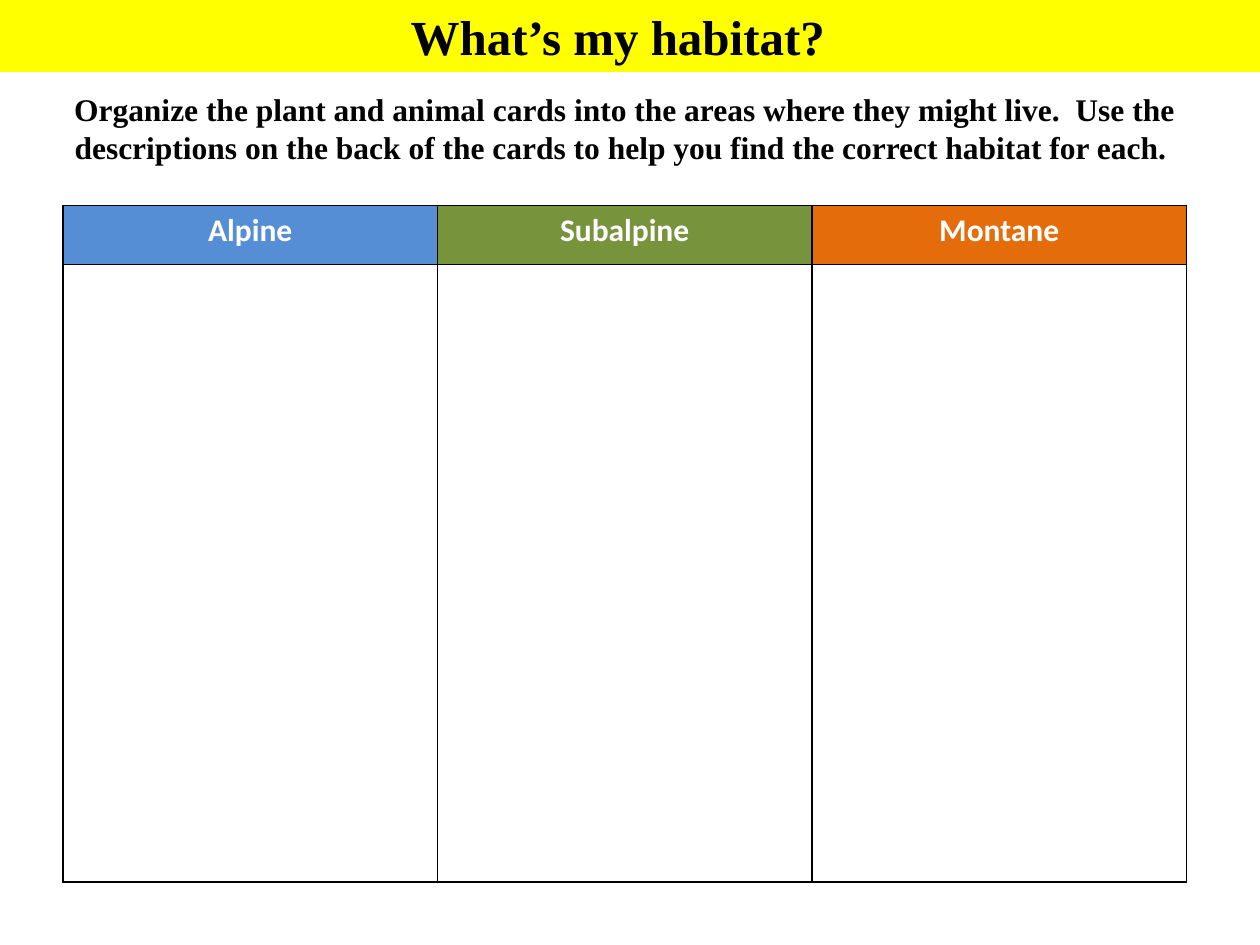
"""Build a habitat sorting slide with a three-column table."""
from dataclasses import dataclass

from lxml.etree import SubElement as Sub
from pptx import Presentation
from pptx.dml.color import RGBColor
from pptx.enum.text import MSO_ANCHOR as Anchor, MSO_AUTO_SIZE as Fit, PP_ALIGN as Align
from pptx.oxml.ns import qn
from pptx.util import Cm, Pt

BLACK = RGBColor(0, 0, 0)
WHITE = RGBColor(255, 255, 255)
YELLOW = RGBColor(255, 255, 0)
BLUE = RGBColor(0x55, 0x8E, 0xD5)
GREEN = RGBColor(0x77, 0x93, 0x3C)
ORANGE = RGBColor(0xE4, 0x6C, 0x0A)
SERIF = "Times New Roman"


@dataclass
class Zone:
    name: str
    fill: RGBColor


ZONES = [Zone("Alpine", BLUE), Zone("Subalpine", GREEN), Zone("Montane", ORANGE)]
ROWS = [1.19, 12.45]
TASK = (
    "Organize the plant and animal cards into the areas where they might live.  "
    "Use the descriptions on the back of the cards to help you find the correct "
    "habitat for each. "
)


def put(frame, text: str, face: str, size: int, color: RGBColor) -> None:
    frame.text = text
    para = frame.paragraphs[0]
    para.alignment = Align.CENTER
    style = {"name": face, "size": Pt(size), "bold": True}
    for key, value in style.items():
        setattr(para.runs[0].font, key, value)
    para.runs[0].font.color.rgb = color


def place(shape, left: float, top: float, width: float, height: float) -> None:
    spot = {"left": left, "top": top, "width": width, "height": height}
    for key, value in spot.items():
        setattr(shape, key, Cm(value))


def edge(cell) -> None:
    props = cell._tc.get_or_add_tcPr()
    for side in ("lnL", "lnR", "lnT", "lnB"):
        line = Sub(props, qn(f"a:{side}"), w=str(Pt(1)))
        fill = Sub(line, qn("a:solidFill"))
        Sub(fill, qn("a:srgbClr"), val=str(BLACK))


def paint(cell, color: RGBColor) -> None:
    edge(cell)
    cell.fill.solid()
    cell.fill.fore_color.rgb = color


def draw_title(slide) -> None:
    title = slide.shapes.title
    place(title, 0, 0, 25.4, 1.45)
    title.fill.solid()
    title.fill.fore_color.rgb = YELLOW
    frame = title.text_frame
    form = {
        "auto_size": Fit.NONE,
        "vertical_anchor": Anchor.MIDDLE,
        "margin_right": Cm(0.75),
    }
    for key, value in form.items():
        setattr(frame, key, value)
    put(frame, "What’s my habitat?", SERIF, 28, BLACK)


def draw_task(slide) -> None:
    box = slide.shapes.add_textbox(Cm(0.43), Cm(1.7), Cm(24.33), Cm(1.8))
    box.text_frame.word_wrap = True
    put(box.text_frame, TASK, SERIF, 18, BLACK)


def draw_grid(slide) -> None:
    frame = slide.shapes.add_table(
        len(ROWS), len(ZONES), Cm(1.27), Cm(4.14), Cm(22.65), Cm(sum(ROWS))
    )
    table = frame.table
    for row, height in zip(table.rows, ROWS):
        row.height = Cm(height)
    for col, zone in enumerate(ZONES):
        head = table.cell(0, col)
        put(head.text_frame, zone.name, "Calibri", 18, WHITE)
        paint(head, zone.fill)
        paint(table.cell(1, col), WHITE)


def main() -> None:
    deck = Presentation()
    deck.slide_width, deck.slide_height = Cm(25.4), Cm(19.05)
    slide = deck.slides.add_slide(deck.slide_layouts[5])
    draw_title(slide)
    draw_task(slide)
    draw_grid(slide)
    deck.save("out.pptx")


if __name__ == "__main__":
    main()
